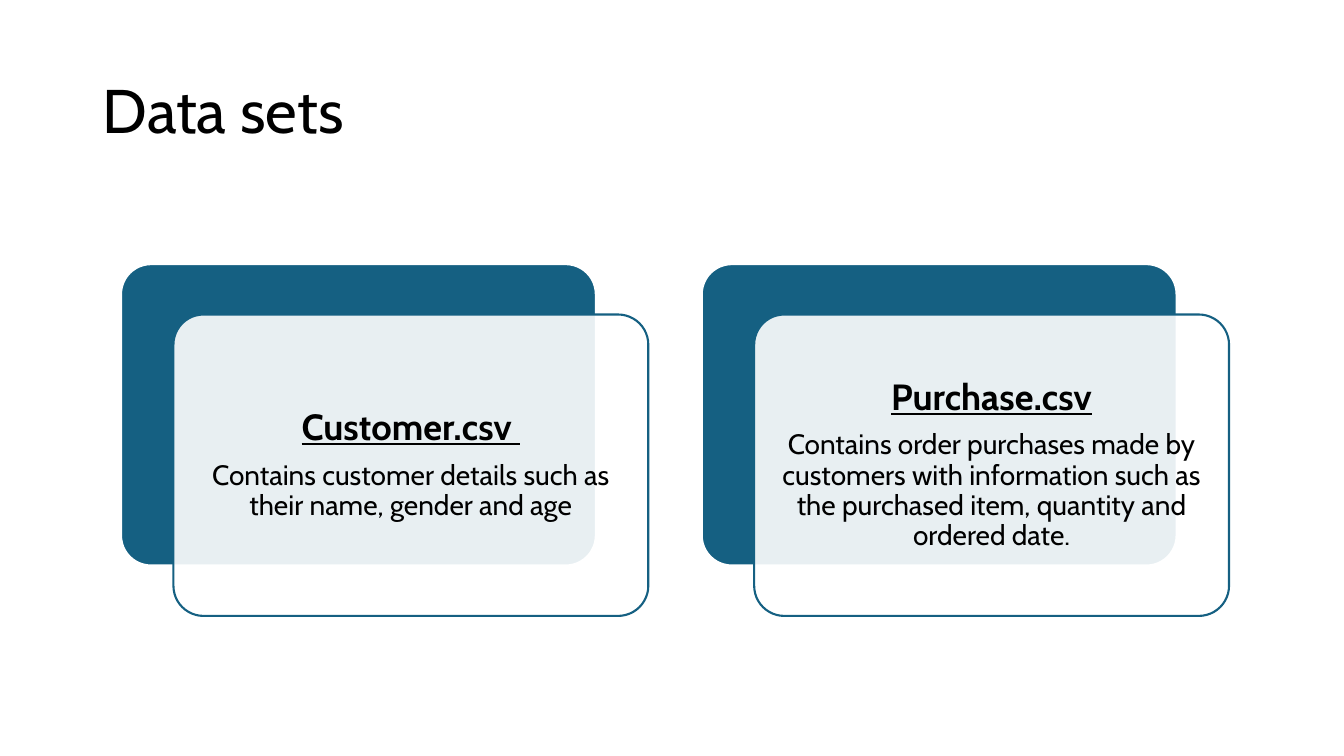
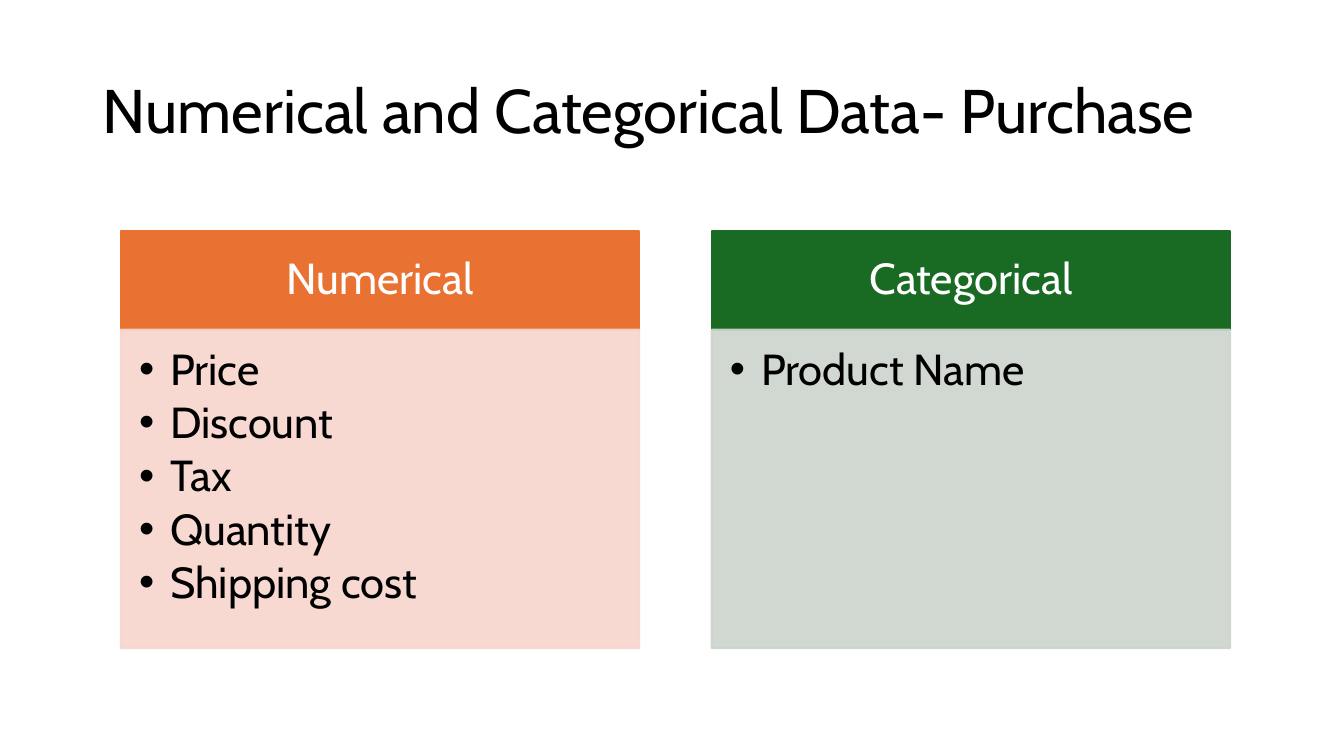
"""Build two slides: the data sets, and the kinds of data in the purchase set."""
from lxml.etree import SubElement
from pptx import Presentation
from pptx.dml.color import RGBColor
from pptx.enum.shapes import MSO_SHAPE
from pptx.enum.text import MSO_ANCHOR, MSO_AUTO_SIZE, PP_ALIGN
from pptx.oxml.ns import qn
from pptx.util import Inches, Pt

FONT = "Cabin"
COLORS = {
    "black": "000000", "white": "FFFFFF", "blue": "156082",
    "orange": "E97132", "pale orange": "F7D5CE",
    "green": "196B24", "pale green": "CCD4CD",
}
DATA_SETS = [
    ("Customer.csv ", "Contains customer details such as their name, gender and age"),
    ("Purchase.csv", "Contains order purchases made by customers with information "
                     "such as the purchased item, quantity and ordered date."),
]
DATA_KINDS = [
    ("Numerical", "orange", ["Price", "Discount", "Tax", "Quantity", "Shipping cost"]),
    ("Categorical", "green", ["Product Name"]),
]
LEFT = 1.2
CARD_TOP, CARD_WIDTH, CARD_HEIGHT = 2.62, 4.71, 2.99
CARD_PITCH, CARD_SHIFT_X, CARD_SHIFT_Y = 5.76, 0.52, 0.5
COLUMN_TOP, COLUMN_WIDTH, COLUMN_PITCH = 2.29, 5.14, 5.86
HEADER_HEIGHT, BODY_HEIGHT = 0.98, 3.16


def rgb(name):
    return RGBColor.from_string(COLORS[name])


def set_opacity(fill_parent, percent):
    color = fill_parent.find(qn("a:solidFill"))[0]
    SubElement(color, qn("a:alpha"), val=str(percent * 1000))


def add_box(page, kind, left, top, width, height, fill, line,
            fill_opacity=100, line_opacity=100, insets=(0.1, 0.1, 0.1, 0.1),
            anchor=MSO_ANCHOR.MIDDLE):
    box = page.shapes.add_shape(kind, *map(Inches, (left, top, width, height)))
    box.shadow.inherit = False
    box.fill.solid()
    box.fill.fore_color.rgb = rgb(fill)
    box.line.color.rgb = rgb(line)
    box.line.width = Pt(1.5)
    if fill_opacity < 100:
        set_opacity(box._element.spPr, fill_opacity)
    if line_opacity < 100:
        set_opacity(box.line._ln, line_opacity)
    if kind == MSO_SHAPE.ROUNDED_RECTANGLE:
        box.adjustments[0] = 0.1
    frame = box.text_frame
    frame.word_wrap = True
    frame.vertical_anchor = anchor
    (frame.margin_left, frame.margin_top,
     frame.margin_right, frame.margin_bottom) = map(Inches, insets)
    return box


def write(frame, text, size, color="black", bold=False, underline=False,
          align=PP_ALIGN.CENTER, after=0.35, bullet=False):
    first = frame.paragraphs[0]
    para = frame.add_paragraph() if first.runs else first
    para.alignment = align
    para.line_spacing = 0.9
    para.space_after = Pt(round(size * after, 1))
    if bullet:
        properties = para._p.get_or_add_pPr()
        properties.set("marL", str(Inches(0.31)))
        properties.set("indent", str(-Inches(0.31)))
        SubElement(properties, qn("a:buFont"), typeface="Arial")
        SubElement(properties, qn("a:buChar"), char="•")
    span = para.add_run()
    span.text = text
    span.font.name = FONT
    span.font.size = Pt(size)
    span.font.bold = bold
    span.font.underline = underline
    span.font.color.rgb = rgb(color)


def add_page(deck, heading):
    page = deck.slides.add_slide(deck.slide_layouts[5])
    title = page.shapes.title
    title.left, title.top, title.width, title.height = map(
        Inches, (0.92, 0.4, 11.5, 1.45))
    frame = title.text_frame
    frame.word_wrap = True
    frame.auto_size = MSO_AUTO_SIZE.NONE
    frame.vertical_anchor = MSO_ANCHOR.MIDDLE
    write(frame, heading, 44, align=PP_ALIGN.LEFT, after=0)
    return page


def add_data_sets(deck):
    page = add_page(deck, "Data sets")
    rounded = MSO_SHAPE.ROUNDED_RECTANGLE
    for index, (name, description) in enumerate(DATA_SETS):
        left = LEFT + index * CARD_PITCH
        add_box(page, rounded, left, CARD_TOP, CARD_WIDTH, CARD_HEIGHT, "blue", "white")
        card = add_box(page, rounded, left + CARD_SHIFT_X, CARD_TOP + CARD_SHIFT_Y,
                       CARD_WIDTH, CARD_HEIGHT, "white", "blue", fill_opacity=90,
                       insets=(0.11, 0.11, 0.11, 0.11))
        write(card.text_frame, name, 26, bold=True, underline=True)
        write(card.text_frame, description, 20)


def add_data_kinds(deck):
    page = add_page(deck, "Numerical and Categorical Data- Purchase")
    for index, (kind, color, fields) in enumerate(DATA_KINDS):
        left = LEFT + index * COLUMN_PITCH
        header = add_box(page, MSO_SHAPE.RECTANGLE, left, COLUMN_TOP, COLUMN_WIDTH,
                         HEADER_HEIGHT, color, color, insets=(0.24, 0.14, 0.24, 0.14))
        write(header.text_frame, kind, 31, color="white")
        pale = f"pale {color}"
        body = add_box(page, MSO_SHAPE.RECTANGLE, left, COLUMN_TOP + HEADER_HEIGHT,
                       COLUMN_WIDTH, BODY_HEIGHT, pale, pale, fill_opacity=90,
                       line_opacity=90, insets=(0.18, 0.18, 0.24, 0.27),
                       anchor=MSO_ANCHOR.TOP)
        for field in fields:
            write(body.text_frame, field, 31, align=PP_ALIGN.LEFT, after=0.15, bullet=True)


def main():
    deck = Presentation()
    deck.slide_width, deck.slide_height = Inches(13.33), Inches(7.5)
    add_data_sets(deck)
    add_data_kinds(deck)
    deck.save("out.pptx")


if __name__ == "__main__":
    main()
